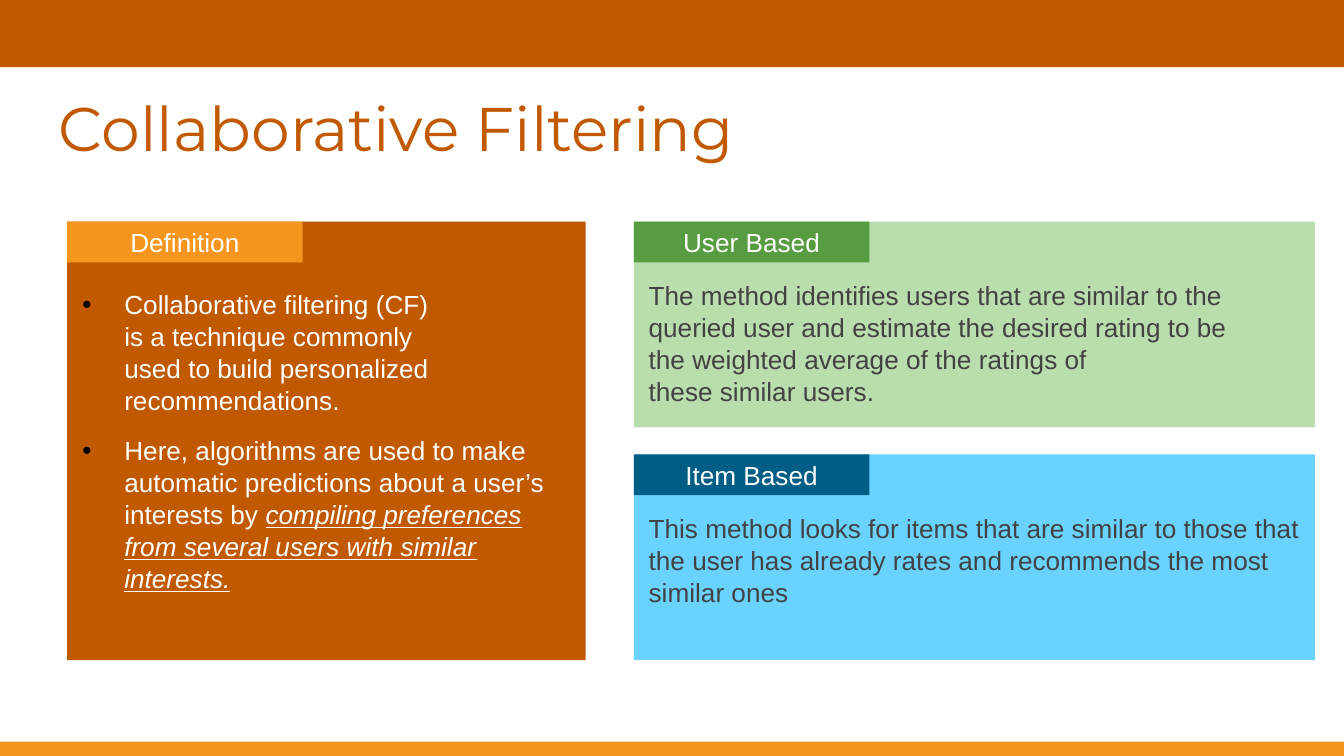
from lxml import etree
from pptx import Presentation
from pptx.dml.color import RGBColor
from pptx.enum import shapes, text
from pptx.oxml import ns
from pptx.util import Cm, Pt

RUST = RGBColor(0xC0, 0x59, 0x00)
ORANGE = RGBColor(0xF7, 0x96, 0x1F)
GREEN = RGBColor(0x57, 0x9C, 0x41)
PALE_GREEN = RGBColor(0xB9, 0xDD, 0xAD)
NAVY = RGBColor(0x00, 0x5E, 0x86)
SKY = RGBColor(0x69, 0xD2, 0xFF)
GREY = RGBColor(0x42, 0x42, 0x42)
WHITE = RGBColor(0xFF, 0xFF, 0xFF)

WIDTH, HEIGHT = 25.4, 14.29
LEFT_COLUMN, RIGHT_COLUMN = 1.27, 11.98
TOP_ROW, LOWER_ROW = 4.19, 8.59
LEFT_WIDTH, RIGHT_WIDTH = 9.8, 12.87
METHOD_HEIGHT = 3.89
TAB_WIDTH, TAB_HEIGHT = 4.45, 0.77


def write(paragraph, words, size=14, font="Arial", color=WHITE,
          align=None, spacing=None, before=None, emphasis=False):
    """Add a formatted run to a paragraph and set the paragraph's layout."""
    run = paragraph.add_run()
    run.text = words
    run.font.size = Pt(size)
    run.font.name = font
    run.font.color.rgb = color
    if emphasis:
        run.font.italic = run.font.underline = True
    if align is not None:
        paragraph.alignment = align
    if spacing is not None:
        paragraph.line_spacing = spacing
    if before is not None:
        paragraph.space_before = Pt(before)


def add_bullet(paragraph, indent=0.79):
    """Give a paragraph a black bullet with a hanging indent."""
    props = paragraph._p.get_or_add_pPr()
    props.set("marL", str(Cm(indent + 0.04)))
    props.set("indent", str(-Cm(indent)))
    color = etree.SubElement(props, ns.qn("a:buClr"))
    etree.SubElement(color, ns.qn("a:srgbClr"), val="000000")
    etree.SubElement(props, ns.qn("a:buFont"), typeface="Arial")
    etree.SubElement(props, ns.qn("a:buChar"), char="•")


class SlideBuilder:
    """Hold the slide and draw its kinds of element in one style."""

    def __init__(self, slide):
        self.slide = slide

    def block(self, left, top, width, height, fill):
        """Draw a plain filled rectangle and return it."""
        shape = self.slide.shapes.add_shape(
            shapes.MSO_SHAPE.RECTANGLE, Cm(left), Cm(top), Cm(width), Cm(height))
        shape.shadow.inherit = False
        shape.fill.solid()
        shape.fill.fore_color.rgb = fill
        shape.line.fill.background()
        shape.text_frame.word_wrap = True
        return shape

    def title(self, words):
        """Place and format the title."""
        title = self.slide.shapes.title
        title.left, title.top = Cm(0.86), Cm(1.73)
        title.width, title.height = Cm(23.67), Cm(1.96)
        title.text_frame.vertical_anchor = text.MSO_ANCHOR.TOP
        write(title.text_frame.paragraphs[0], words, size=33, font="Montserrat",
              color=RUST, align=text.PP_ALIGN.LEFT, spacing=0.9)

    def tab(self, left, top, words, fill):
        """Draw the heading tab in a panel's top left corner."""
        frame = self.block(left, top, TAB_WIDTH, TAB_HEIGHT, fill).text_frame
        frame.vertical_anchor = text.MSO_ANCHOR.MIDDLE
        write(frame.paragraphs[0], words, align=text.PP_ALIGN.CENTER)

    def definition(self, heading, points):
        """Draw the definition panel; each point is (plain, emphasised)."""
        height = LOWER_ROW + METHOD_HEIGHT - TOP_ROW
        frame = self.block(LEFT_COLUMN, TOP_ROW, LEFT_WIDTH, height, RUST).text_frame
        frame.vertical_anchor = text.MSO_ANCHOR.MIDDLE
        for index, (plain, stressed) in enumerate(points):
            point = frame.add_paragraph() if index else frame.paragraphs[0]
            write(point, plain, align=text.PP_ALIGN.LEFT, spacing=1.02,
                  before=9.7 if index else 0.7)
            if stressed:
                write(point, stressed, emphasis=True)
            add_bullet(point)
        self.tab(LEFT_COLUMN, TOP_ROW, heading, ORANGE)

    def method(self, top, heading, words, fill, tab_fill):
        """Draw one method panel with its tab."""
        frame = self.block(RIGHT_COLUMN, top, RIGHT_WIDTH, METHOD_HEIGHT, fill).text_frame
        frame.vertical_anchor = text.MSO_ANCHOR.TOP
        frame.margin_left = Cm(0.28)
        frame.margin_top = Cm(1.08)
        write(frame.paragraphs[0], words, color=GREY,
              align=text.PP_ALIGN.LEFT, spacing=1.02, before=0.6)
        self.tab(RIGHT_COLUMN, top, heading, tab_fill)


def main():
    """Build and save the slide."""
    deck = Presentation()
    deck.slide_width, deck.slide_height = Cm(WIDTH), Cm(HEIGHT)
    builder = SlideBuilder(deck.slides.add_slide(deck.slide_layouts[5]))
    builder.block(0, 0, WIDTH, 1.27, RUST)
    builder.block(0, HEIGHT - 0.27, WIDTH, 0.27, ORANGE)
    builder.title("Collaborative Filtering")
    builder.definition("Definition", [
        ("Collaborative filtering (CF) is\u00a0a\u00a0technique\u00a0commonly "
         "used\u00a0to\u00a0build\u00a0personalized recommendations.", ""),
        ("Here, algorithms are used to make automatic predictions "
         "about a user’s interests by ",
         "compiling preferences from several users with similar interests."),
    ])
    builder.method(
        TOP_ROW, "User Based",
        "The method identifies users that\u00a0are\u00a0similar\u00a0to\u00a0the "
        "queried user and\u00a0estimate\u00a0the\u00a0desired rating\u00a0to\u00a0be "
        "the\u00a0weighted\u00a0average\u00a0of the\u00a0ratings\u00a0of "
        "these\u00a0similar\u00a0users.", PALE_GREEN, GREEN)
    builder.method(
        LOWER_ROW, "Item Based",
        "This method looks for items that are similar to those that the user "
        "has already rates and recommends the most similar ones", SKY, NAVY)
    deck.save("out.pptx")


main()
